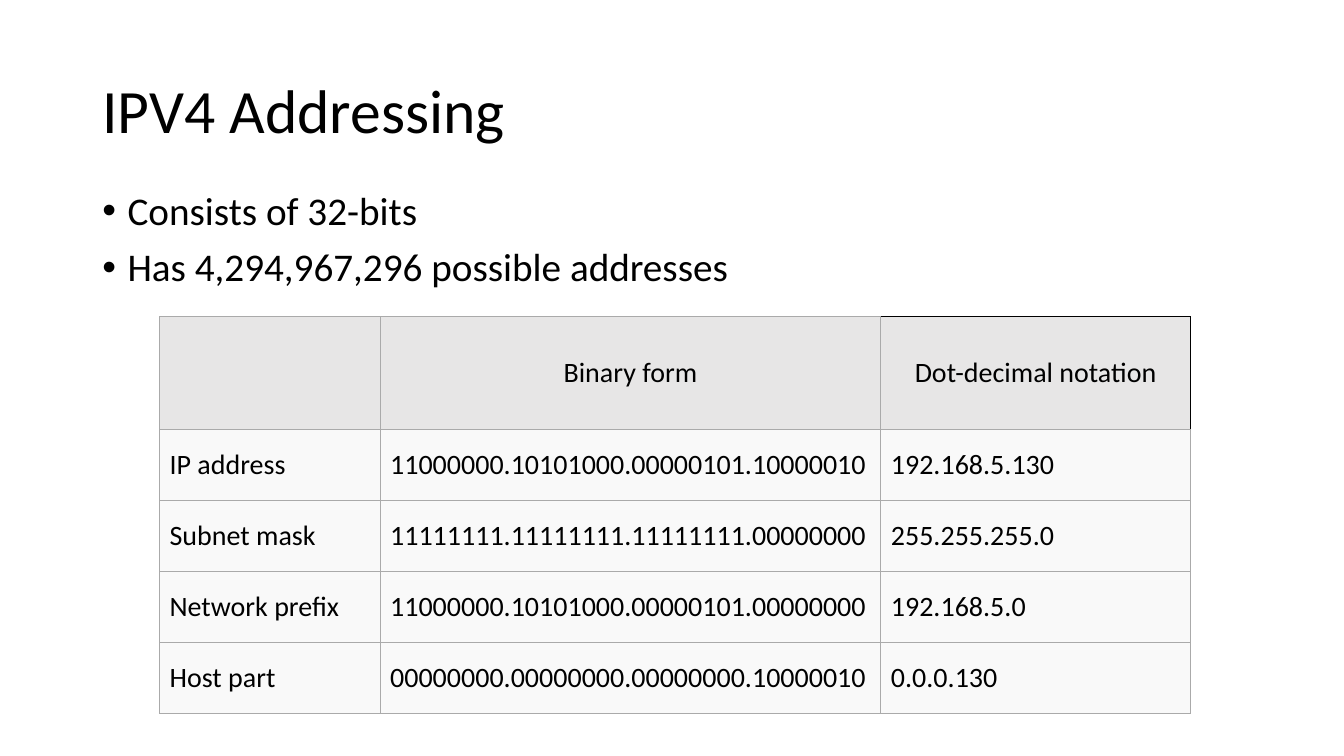
from lxml.etree import SubElement
from pptx import Presentation
from pptx.dml.color import RGBColor
from pptx.enum.text import MSO_ANCHOR, PP_ALIGN
from pptx.oxml import parse_xml
from pptx.oxml.ns import nsdecls, qn
from pptx.util import Cm, Pt

BLACK = RGBColor(0x00, 0x00, 0x00)
HEADER_FILL = RGBColor(0xE7, 0xE6, 0xE6)
BODY_FILL = RGBColor(0xF9, 0xF9, 0xF9)
BORDER_GREY = RGBColor(0xAA, 0xAA, 0xAA)

BULLETS = ["Consists of 32-bits", "Has 4,294,967,296 possible addresses"]
ADDRESS_ROWS = [
    ["", "Binary form", "Dot-decimal notation"],
    ["IP address", "11000000.10101000.00000101.10000010", "192.168.5.130"],
    ["Subnet mask", "11111111.11111111.11111111.00000000", "255.255.255.0"],
    ["Network prefix", "11000000.10101000.00000101.00000000", "192.168.5.0"],
    ["Host part", "00000000.00000000.00000000.10000010", "0.0.0.130"],
]
COLUMN_WIDTHS = [Cm(5.56), Cm(12.62), Cm(7.8)]
HEADER_HEIGHT = Cm(2.84)
ROW_HEIGHT = Cm(1.79)


def write_text(paragraph, text, size, align=PP_ALIGN.LEFT, line_spacing=None, space_before=0):
    paragraph.alignment = align
    paragraph.line_spacing = line_spacing
    paragraph.space_before = Pt(space_before)
    span = paragraph.add_run()
    span.text = text
    span.font.name = "Calibri"
    span.font.size = Pt(size)
    span.font.color.rgb = BLACK


def add_bullet(paragraph, indent):
    properties = paragraph._p.get_or_add_pPr()
    properties.set("marL", str(indent))
    properties.set("indent", str(-indent))
    SubElement(properties, qn("a:buFont"), typeface="Arial")
    SubElement(properties, qn("a:buChar"), char="•")


def set_borders(cell, **colours):
    """Draw cell borders; the keywords L, R, T and B give their colours in that order."""
    properties = cell._tc.get_or_add_tcPr()
    for position, (side, colour) in enumerate(colours.items()):
        properties.insert(position, parse_xml(
            f'<a:ln{side} {nsdecls("a")} w="{Pt(0.75)}"><a:solidFill>'
            f'<a:srgbClr val="{colour}"/></a:solidFill></a:ln{side}>'))


def place_title(page, left, top, width, height):
    title = page.shapes.title
    title.left, title.top, title.width, title.height = left, top, width, height
    title.text_frame.vertical_anchor = MSO_ANCHOR.MIDDLE
    write_text(title.text_frame.paragraphs[0], "IPV4 Addressing", 44, line_spacing=0.9)


def place_bullets(page, left, top, width, height):
    frame = page.shapes.add_textbox(left, top, width, height).text_frame
    frame.word_wrap = True
    for index, text in enumerate(BULLETS):
        paragraph = frame.add_paragraph() if index else frame.paragraphs[0]
        add_bullet(paragraph, Cm(0.635))
        write_text(paragraph, text, 28, line_spacing=0.9, space_before=10 if index else 0)


def place_address_table(page, left, top):
    height = HEADER_HEIGHT + ROW_HEIGHT * (len(ADDRESS_ROWS) - 1)
    table = page.shapes.add_table(len(ADDRESS_ROWS), len(COLUMN_WIDTHS), left, top,
                                  sum(COLUMN_WIDTHS), height).table
    table.first_row = table.horz_banding = False
    for column, width in zip(table.columns, COLUMN_WIDTHS):
        column.width = width
    for row_index, texts in enumerate(ADDRESS_ROWS):
        is_header = row_index == 0
        table.rows[row_index].height = HEADER_HEIGHT if is_header else ROW_HEIGHT
        for column_index, text in enumerate(texts):
            cell = table.cell(row_index, column_index)
            cell.vertical_anchor = MSO_ANCHOR.MIDDLE
            cell.fill.solid()
            cell.fill.fore_color.rgb = HEADER_FILL if is_header else BODY_FILL
            is_corner = is_header and column_index == len(texts) - 1
            outer = BLACK if is_corner else BORDER_GREY
            set_borders(cell, L=BORDER_GREY, R=outer, T=outer, B=BORDER_GREY)
            if text:
                write_text(cell.text_frame.paragraphs[0], text, 20,
                           align=PP_ALIGN.CENTER if is_header else PP_ALIGN.LEFT)


def main():
    deck = Presentation()
    deck.slide_width, deck.slide_height = Cm(33.87), Cm(19.05)
    page = deck.slides.add_slide(deck.slide_layouts[5])
    place_title(page, Cm(2.33), Cm(1.01), Cm(29.21), Cm(3.68))
    place_bullets(page, Cm(2.33), Cm(4.7), Cm(29.21), Cm(3))
    place_address_table(page, Cm(4.02), Cm(7.98))
    deck.save("out.pptx")


if __name__ == "__main__":
    main()
